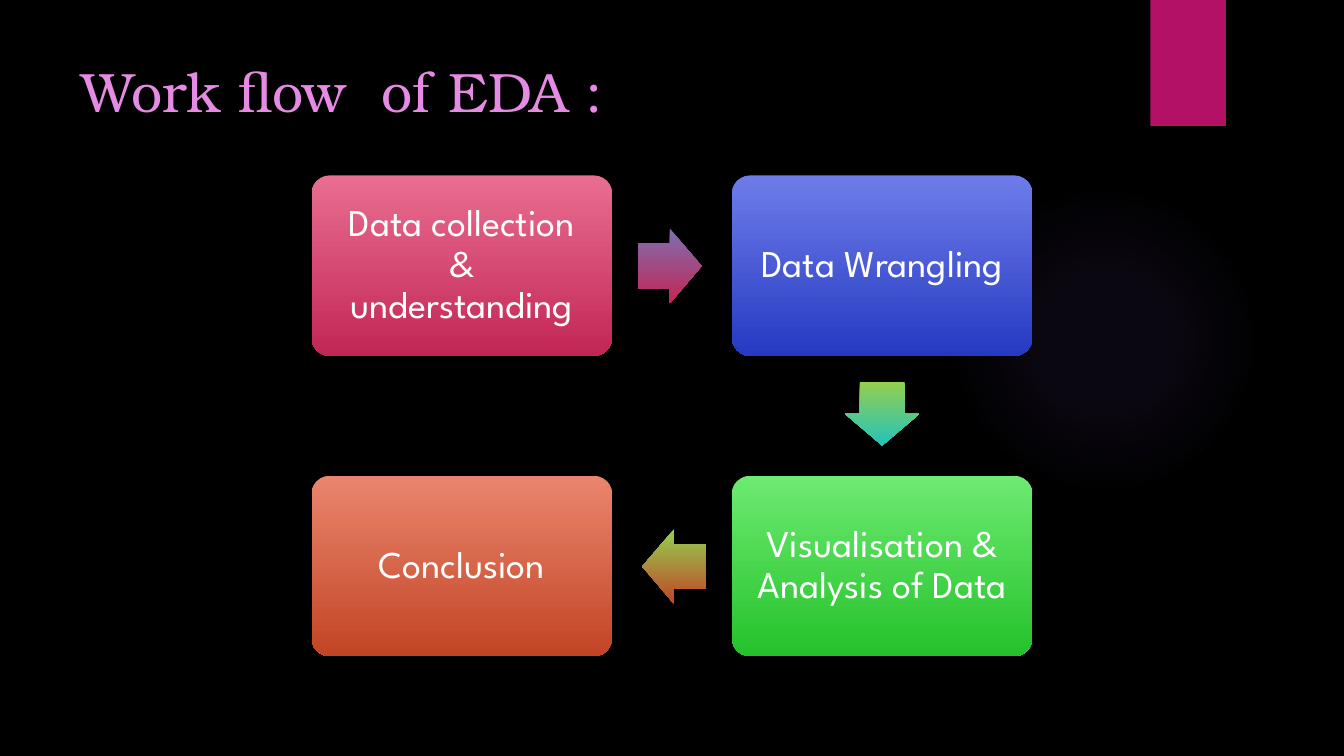
from lxml import etree
from pptx import Presentation
from pptx.dml.color import RGBColor
from pptx.enum.shapes import MSO_SHAPE
from pptx.enum.text import MSO_ANCHOR, PP_ALIGN
from pptx.oxml import parse_xml
from pptx.util import Inches, Pt

ROUNDED = MSO_SHAPE.ROUNDED_RECTANGLE
RECTANGLE = MSO_SHAPE.RECTANGLE
OVAL = MSO_SHAPE.OVAL
RIGHT = MSO_SHAPE.RIGHT_ARROW
DOWN = MSO_SHAPE.DOWN_ARROW
LEFT = MSO_SHAPE.LEFT_ARROW
MIDDLE = MSO_ANCHOR.MIDDLE
ALIGN_LEFT = PP_ALIGN.LEFT
ALIGN_CENTER = PP_ALIGN.CENTER

BLACK = RGBColor(0x00, 0x00, 0x00)
WHITE = RGBColor(0xFF, 0xFF, 0xFF)
MAGENTA = RGBColor(0xB3, 0x11, 0x66)
ORCHID = RGBColor(0xE6, 0x8B, 0xE3)
PINK = RGBColor(0xE9, 0x6E, 0x90)
CRIMSON = RGBColor(0xC2, 0x26, 0x55)
PERIWINKLE = RGBColor(0x6E, 0x7C, 0xE9)
BLUE = RGBColor(0x25, 0x3A, 0xC2)
MINT = RGBColor(0x6D, 0xEA, 0x71)
GREEN = RGBColor(0x25, 0xC2, 0x2B)
SALMON = RGBColor(0xEA, 0x85, 0x6D)
RUST = RGBColor(0xC2, 0x45, 0x25)
PURPLE = RGBColor(0x80, 0x6E, 0xB1)
LIME = RGBColor(0x92, 0xD0, 0x50)
TEAL = RGBColor(0x25, 0xC2, 0xBB)
VIOLET = RGBColor(0x9B, 0x6B, 0xF2)

TITLE = "Work flow  of EDA :"
TITLE_FONT = "TeX Gyre Bonum"
STEP_FONT = "League Spartan"

STEPS = [
    ("Data collection & understanding", 0, 0, PINK, CRIMSON),
    ("Data Wrangling", 1, 0, PERIWINKLE, BLUE),
    ("Visualisation & Analysis of Data ", 1, 1, MINT, GREEN),
    ("Conclusion", 0, 1, SALMON, RUST),
]
ARROWS = [
    (RIGHT, 6.33, 2.27, 0.63, 0.74, PURPLE, CRIMSON),
    (DOWN, 8.38, 3.79, 0.74, 0.63, LIME, TEAL),
    (LEFT, 6.37, 5.25, 0.63, 0.74, LIME, RUST),
]
GLOW_STOPS = [(0, 7), (36, 6), (69, 0)]

GRID_LEFT, GRID_TOP = 3.09, 1.74
STEP_WIDTH, STEP_HEIGHT = 2.98, 1.79
COLUMN_PITCH, ROW_PITCH = 4.17, 2.98
STEP_INSET = 0.17
DRAWING = "http://schemas.openxmlformats.org/drawingml/2006/main"


def add_plain_shape(page, kind, left, top, width, height):
    shape = page.shapes.add_shape(
        kind, Inches(left), Inches(top), Inches(width), Inches(height))
    shape.shadow.inherit = False
    shape.line.fill.background()
    return shape


def fill_downward(shape, upper, lower):
    shape.fill.gradient()
    shape.fill.gradient_angle = 270
    for stop, color, position in zip(shape.fill.gradient_stops, (upper, lower), (0, 1)):
        stop.color.rgb = color
        stop.position = position


def write(frame, text, font, size, color, alignment):
    frame.word_wrap = True
    frame.vertical_anchor = MIDDLE
    para = frame.paragraphs[0]
    para.alignment = alignment
    span = para.add_run()
    span.text = text
    span.font.name = font
    span.font.size = Pt(size)
    span.font.color.rgb = color
    return para


def add_glow(page):
    glow = add_plain_shape(page, OVAL, 9.41, 1.83, 3.08, 3.08)
    stops = "".join(
        f'<a:gs pos="{position * 1000}"><a:srgbClr val="{VIOLET}">'
        f'<a:alpha val="{opacity * 1000}"/></a:srgbClr></a:gs>'
        for position, opacity in GLOW_STOPS)
    gradient = parse_xml(
        f'<a:gradFill xmlns:a="{DRAWING}"><a:gsLst>{stops}</a:gsLst>'
        '<a:path path="circle"><a:fillToRect l="50000" t="50000" r="50000" b="50000"/>'
        '</a:path></a:gradFill>')
    outline = glow.element.spPr.find(etree.QName(DRAWING, "prstGeom"))
    outline.addnext(gradient)


def add_step(page, text, column, row, upper, lower):
    box = add_plain_shape(
        page, ROUNDED, GRID_LEFT + column * COLUMN_PITCH,
        GRID_TOP + row * ROW_PITCH, STEP_WIDTH, STEP_HEIGHT)
    box.adjustments[0] = 0.1
    fill_downward(box, upper, lower)
    frame = box.text_frame
    frame.margin_left = frame.margin_right = Inches(STEP_INSET)
    frame.margin_top = frame.margin_bottom = Inches(STEP_INSET)
    para = write(frame, text, STEP_FONT, 27, WHITE, ALIGN_CENTER)
    para.line_spacing = 0.9


def add_arrow(page, kind, left, top, width, height, upper, lower):
    arrow = add_plain_shape(page, kind, left, top, width, height)
    arrow.adjustments[0] = 0.6
    arrow.adjustments[1] = 0.5
    fill_downward(arrow, upper, lower)


def main():
    deck = Presentation()
    deck.slide_width, deck.slide_height = Inches(13.33), Inches(7.5)
    page = deck.slides.add_slide(deck.slide_layouts[5])
    page.background.fill.solid()
    page.background.fill.fore_color.rgb = BLACK

    title = page.shapes.title
    title.left, title.top = Inches(0.71), Inches(0.5)
    title.width, title.height = Inches(10.29), Inches(0.79)
    write(title.text_frame, TITLE, TITLE_FONT, 39.6, ORCHID, ALIGN_LEFT)

    add_glow(page)
    ribbon = add_plain_shape(page, RECTANGLE, 11.41, 0, 0.75, 1.25)
    ribbon.fill.solid()
    ribbon.fill.fore_color.rgb = MAGENTA

    for step in STEPS:
        add_step(page, *step)
    for arrow in ARROWS:
        add_arrow(page, *arrow)
    deck.save("out.pptx")


if __name__ == "__main__":
    main()
